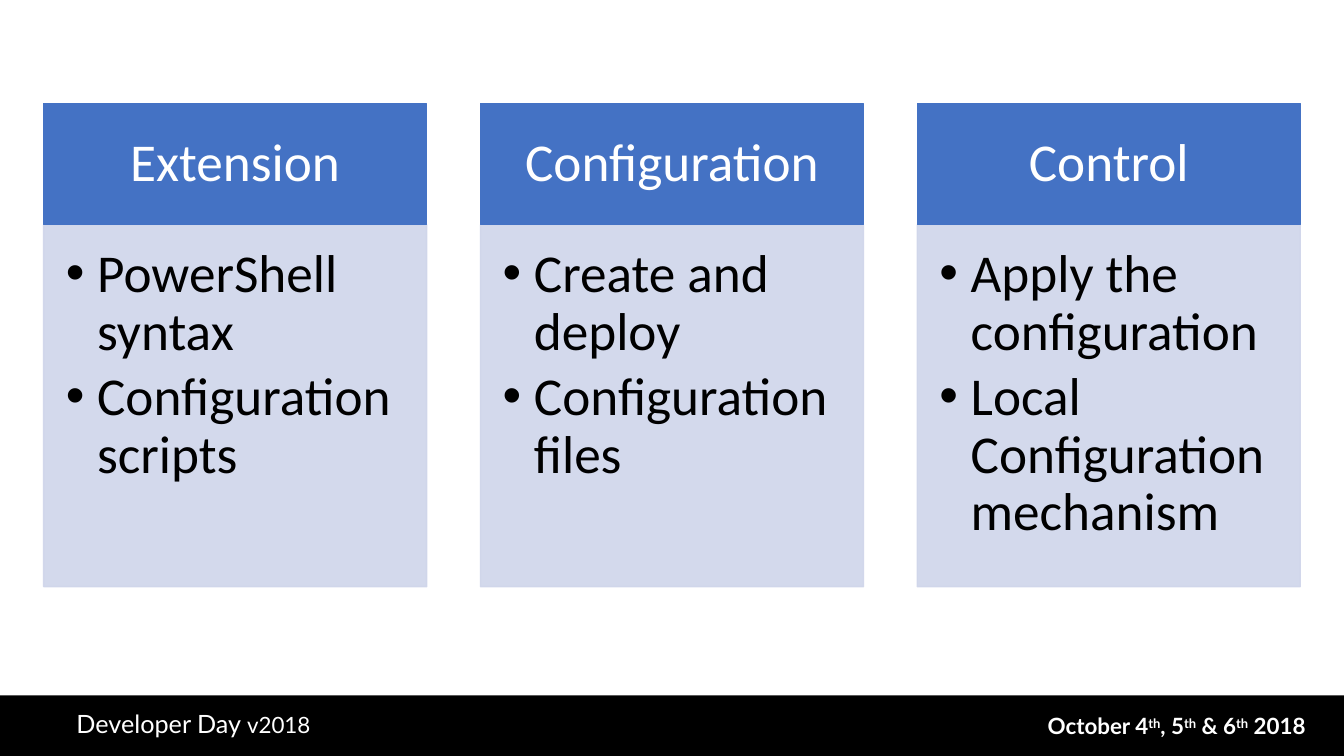
import dataclasses
import typing

import lxml.etree
import pptx
import pptx.dml.color
import pptx.dml.fill
import pptx.enum.shapes
import pptx.enum.text
import pptx.oxml.ns
import pptx.shapes.autoshape
import pptx.slide
import pptx.util

COLORS = {"heading": "4472C4", "panel": "CFD5EA", "bar": "000000",
          "light": "FFFFFF", "dark": "000000"}
SLIDE_WIDTH = pptx.util.Inches(13.33)
SLIDE_HEIGHT = pptx.util.Inches(7.5)
COLUMNS, ROWS = 40, 75
TOPIC_LEFT, TOPIC_PITCH, TOPIC_WIDTH = 1.3, 13, 11.4
HEADING_TOP, HEADING_HEIGHT, PANEL_HEIGHT = 10.3, 12, 35.9
TOPIC_FONT, FOOTER_FONT = "Calibri", "Lato"
TOPIC_SIZE = 38
BULLET_INDENT = pptx.util.Inches(0.31)
Align = pptx.enum.text.PP_ALIGN
Anchor = pptx.enum.text.MSO_ANCHOR


@dataclasses.dataclass(frozen=True)
class Area:
    column: float
    row: float
    columns: float
    rows: float

    def box(self) -> tuple[int, int, int, int]:
        return (round(SLIDE_WIDTH * self.column / COLUMNS),
                round(SLIDE_HEIGHT * self.row / ROWS),
                round(SLIDE_WIDTH * self.columns / COLUMNS),
                round(SLIDE_HEIGHT * self.rows / ROWS))


@dataclasses.dataclass(frozen=True)
class Topic:
    heading: str
    points: tuple[str, ...]
    placeholder: int


@dataclasses.dataclass(frozen=True)
class Piece:
    text: str
    size: int
    raised: bool = False


@dataclasses.dataclass(frozen=True)
class FooterNote:
    area: Area
    align: Align
    bold: bool
    pieces: tuple[Piece, ...]


TOPICS = (
    Topic("Extension", ("PowerShell syntax", "Configuration scripts"), 1),
    Topic("Configuration", ("Create and deploy", "Configuration files"), 2),
    Topic("Control", ("Apply the configuration", "Local Configuration mechanism"), 3),
)
DATE_PARTS = ("October 4", "th", ", 5", "th", " & 6", "th", " 2018")
FOOTER_NOTES = (
    FooterNote(Area(28.77, 70.2, 10.38, 3.7), Align.RIGHT, True,
               tuple(Piece(part, 16, part == "th") for part in DATE_PARTS)),
    FooterNote(Area(1.98, 69.8, 9.9, 4), Align.LEFT, False,
               (Piece("Developer Day ", 18), Piece("v2018", 16))),
)


def rgb(name: str) -> pptx.dml.color.RGBColor:
    return pptx.dml.color.RGBColor.from_string(COLORS[name])


def paint(fill: pptx.dml.fill.FillFormat, color: str) -> None:
    fill.solid()
    fill.fore_color.rgb = rgb(color)


def add_block(slide: pptx.slide.Slide, area: Area,
              color: str) -> pptx.shapes.autoshape.Shape:
    block = slide.shapes.add_shape(
        pptx.enum.shapes.MSO_SHAPE.RECTANGLE, *area.box())
    block.shadow.inherit = False
    paint(block.fill, color)
    return block


def outline(shape: pptx.shapes.autoshape.Shape, color: str) -> None:
    paint(shape.line.fill, color)
    shape.line.width = pptx.util.Pt(1)


def set_margins(frame: typing.Any, *inches: float) -> None:
    (frame.margin_left, frame.margin_top, frame.margin_right,
     frame.margin_bottom) = map(pptx.util.Inches, inches)


def format_topic_paragraph(paragraph: typing.Any, color: str) -> None:
    paragraph.line_spacing = 0.9
    paragraph.space_before = pptx.util.Pt(0)
    paragraph.font.name = TOPIC_FONT
    paragraph.font.size = pptx.util.Pt(TOPIC_SIZE)
    paragraph.font.bold = False
    paragraph.font.color.rgb = rgb(color)


def add_bullet(paragraph: typing.Any) -> None:
    properties = paragraph._p.get_or_add_pPr()
    properties.set("marL", str(BULLET_INDENT))
    properties.set("indent", str(-BULLET_INDENT))
    for tag, key, value in (("a:buFont", "typeface", "Arial"),
                            ("a:buChar", "char", "•")):
        lxml.etree.SubElement(properties, pptx.oxml.ns.qn(tag)).set(key, value)


def add_heading(slide: pptx.slide.Slide, topic: Topic, column: float) -> None:
    heading = add_block(
        slide, Area(column, HEADING_TOP, TOPIC_WIDTH, HEADING_HEIGHT), "heading")
    outline(heading, "heading")
    frame = heading.text_frame
    frame.vertical_anchor = Anchor.MIDDLE
    set_margins(frame, 0.3, 0.17, 0.3, 0.17)
    paragraph = frame.paragraphs[0]
    paragraph.text = topic.heading
    paragraph.alignment = Align.CENTER
    format_topic_paragraph(paragraph, "light")


def fill_panel(slide: pptx.slide.Slide, topic: Topic, column: float) -> None:
    panel = next(holder for holder in slide.placeholders
                 if holder.placeholder_format.idx == topic.placeholder)
    area = Area(column, HEADING_TOP + HEADING_HEIGHT, TOPIC_WIDTH, PANEL_HEIGHT)
    panel.left, panel.top, panel.width, panel.height = area.box()
    paint(panel.fill, "panel")
    outline(panel, "panel")
    for tint in panel._element.spPr.iter(pptx.oxml.ns.qn("a:srgbClr")):
        lxml.etree.SubElement(tint, pptx.oxml.ns.qn("a:alpha")).set("val", "90000")
    frame = panel.text_frame
    frame.text = "\n".join(topic.points)
    frame.word_wrap = True
    frame.auto_size = pptx.enum.text.MSO_AUTO_SIZE.NONE
    frame.vertical_anchor = Anchor.TOP
    set_margins(frame, 0.22, 0.22, 0.3, 0.33)
    for paragraph in frame.paragraphs:
        add_bullet(paragraph)
        format_topic_paragraph(paragraph, "dark")
        paragraph.space_after = pptx.util.Pt(5.7)


def add_footer_note(slide: pptx.slide.Slide, note: FooterNote) -> None:
    frame = slide.shapes.add_textbox(*note.area.box()).text_frame
    frame.word_wrap = True
    paragraph = frame.paragraphs[0]
    paragraph.alignment = note.align
    paragraph.font.name = FOOTER_FONT
    paragraph.font.bold = note.bold
    paragraph.font.color.rgb = rgb("light")
    for piece in note.pieces:
        run = paragraph.add_run()
        run.text = piece.text
        run.font.size = pptx.util.Pt(piece.size)
        if piece.raised:
            run._r.get_or_add_rPr().set("baseline", "30000")


def main() -> None:
    deck = pptx.Presentation()
    deck.slide_width, deck.slide_height = SLIDE_WIDTH, SLIDE_HEIGHT
    slide = deck.slides.add_slide(deck.slide_layouts.get_by_name("Comparison"))
    bar = add_block(slide, Area(0, 69, COLUMNS, 6), "bar")
    bar.line.fill.background()
    for note in FOOTER_NOTES:
        add_footer_note(slide, note)
    for position, topic in enumerate(TOPICS):
        column = TOPIC_LEFT + position * TOPIC_PITCH
        add_heading(slide, topic, column)
        fill_panel(slide, topic, column)
    for holder in list(slide.placeholders):
        if not holder.text_frame.text:
            holder._element.getparent().remove(holder._element)
    deck.save("out.pptx")


if __name__ == "__main__":
    main()
